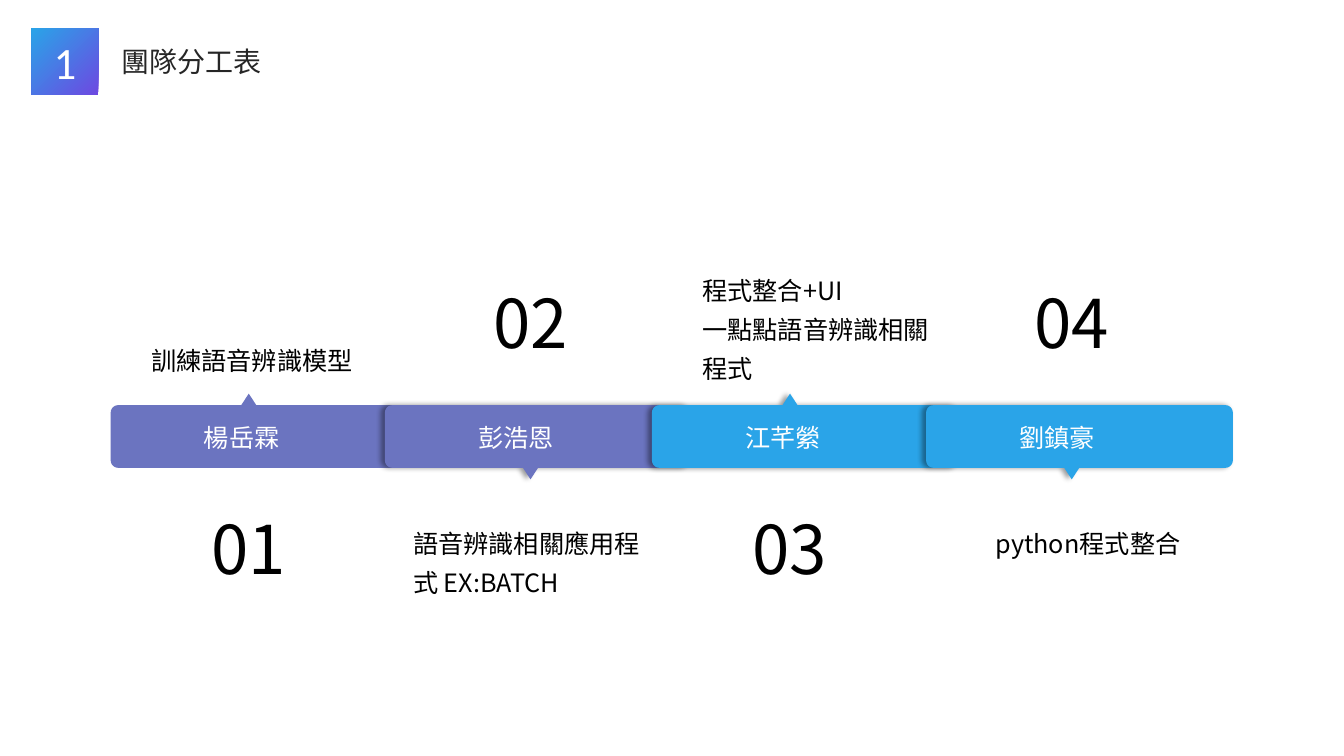
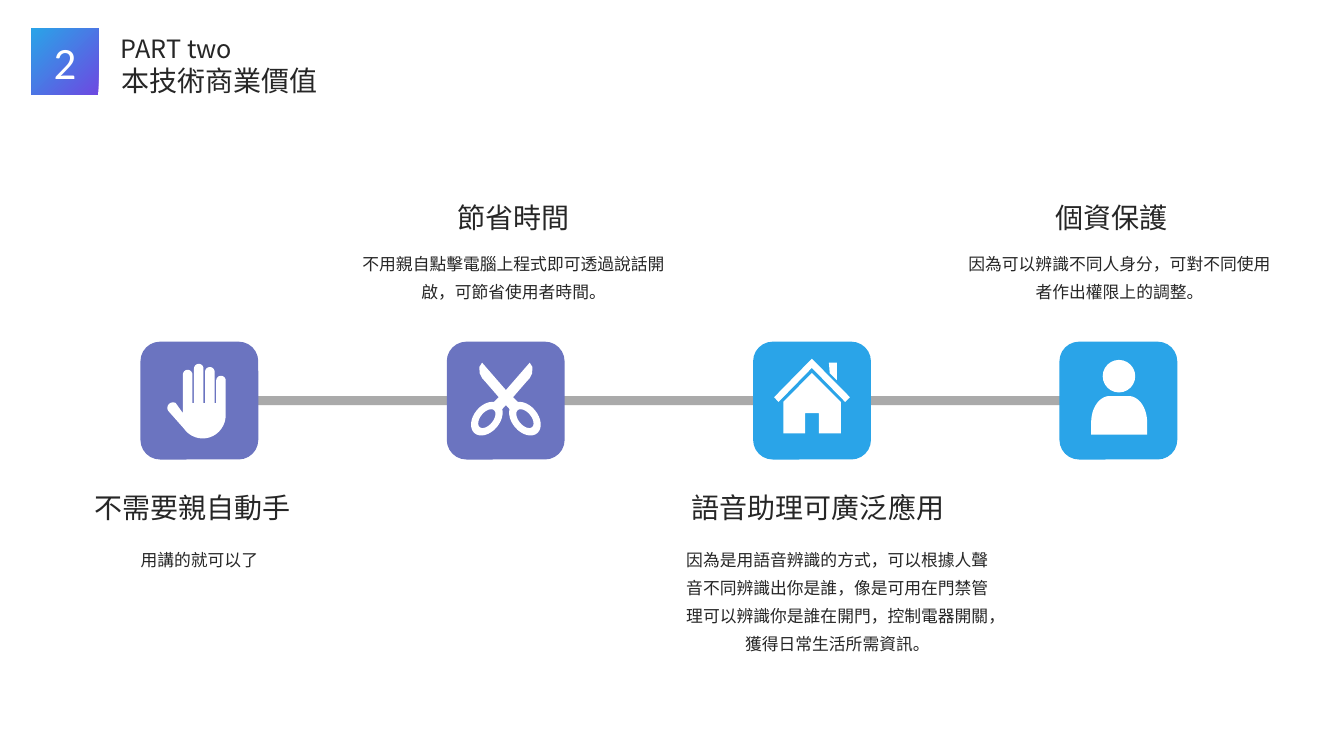
from dataclasses import dataclass
from math import ceil, cos, radians, sin
from typing import Callable

from lxml.etree import SubElement
from pptx import Presentation
from pptx.dml.color import RGBColor
from pptx.enum.shapes import MSO_SHAPE as Shape
from pptx.enum.text import MSO_ANCHOR as Anchor, MSO_AUTO_SIZE as AutoSize, PP_ALIGN as Align
from pptx.oxml.ns import qn
from pptx.util import Cm, Pt


@dataclass(frozen=True)
class Theme:
    violet: str = "6B74C0"
    blue: str = "2AA4E8"
    deep_violet: str = "6D49E1"
    white: str = "FFFFFF"
    black: str = "000000"
    ink: str = "262626"
    rail: str = "A6A6A6"
    font: str = "Noto Sans CJK SC"
    badge_font: str = "Calibri"
    number_size: int = 48
    badge_size: int = 32
    title_size: int = 20
    label_size: int = 18
    body_size: int = 12


THEME = Theme()
TITLE_ONLY = 5


@dataclass(frozen=True)
class Member:
    name: str
    number: str
    tasks: tuple
    left: float
    color: str
    points_up: bool
    task_offset: float
    task_top: float
    task_height: float
    has_shadow: bool = True


@dataclass(frozen=True)
class Benefit:
    heading: str
    body: str
    color: str
    draw_icon: Callable
    text_below: bool
    heading_shift: float
    body_shift: float


# ---- Text and shape helpers ----

def write(frame, lines, size, color, font=THEME.font, align=Align.LEFT, spacing=None):
    for index, line in enumerate(lines):
        paragraph = frame.add_paragraph() if index else frame.paragraphs[0]
        paragraph.alignment = align
        if spacing is not None:
            paragraph.line_spacing = spacing
        run = paragraph.add_run()
        run.text = line
        run.font.size = Pt(size)
        run.font.name = font
        run.font.color.rgb = RGBColor.from_string(color)
        SubElement(run._r.get_or_add_rPr(), qn("a:ea"), typeface=font)


def add_text(slide, box, lines, size, color, wrap=True, **style):
    frame = slide.shapes.add_textbox(*map(Cm, box)).text_frame
    frame.word_wrap = wrap
    write(frame, lines, size, color, **style)


def paint(shape, color):
    shape.shadow.inherit = False
    shape.line.fill.background()
    shape.fill.solid()
    shape.fill.fore_color.rgb = RGBColor.from_string(color)
    return shape


def add_preset(slide, kind, box, color):
    return paint(slide.shapes.add_shape(kind, *map(Cm, box)), color)


def add_outline(slide, left, top, color, *contours):
    """Filled outline; contours are in centimetres from (left, top)."""
    placed = [[(Cm(left + x), Cm(top + y)) for x, y in contour] for contour in contours]
    builder = slide.shapes.build_freeform(*placed[0][0], scale=1.0)
    for index, points in enumerate(placed):
        if index:
            builder.move_to(*points[0])
        builder.add_line_segments(points[1:], close=True)
    return paint(builder.convert_to_shape(), color)


def arc(x, y, radius_x, radius_y, start, end, turn=0, steps=16):
    """Points of an elliptical arc, clockwise in degrees, turned about its centre."""
    points = []
    for step in range(steps + 1):
        angle = radians(start + (end - start) * step / steps)
        along, across = radius_x * cos(angle), radius_y * sin(angle)
        tilt = radians(turn)
        points.append((x + along * cos(tilt) - across * sin(tilt),
                       y + along * sin(tilt) + across * cos(tilt)))
    return points


def add_left_shadow(shape):
    effects = shape._element.spPr.find(qn("a:effectLst"))
    shadow = SubElement(effects, qn("a:outerShdw"), blurRad=str(Pt(4)), dist=str(Pt(3)),
                        dir="10800000", algn="r", rotWithShape="0")
    color = SubElement(shadow, qn("a:srgbClr"), val=THEME.black)
    SubElement(color, qn("a:alpha"), val="40000")


# ---- Header shared by both slides ----

def add_header(slide, number, title, kicker=None):
    left, top = 0.8, 0.71
    badge = add_preset(slide, Shape.RECTANGLE, (left, top, 1.68, 1.68), THEME.blue)
    badge.fill.gradient()
    badge.fill.gradient_angle = 135
    for stop, color, position in zip(badge.fill.gradient_stops,
                                     (THEME.deep_violet, THEME.blue), (0, 1)):
        stop.color.rgb = RGBColor.from_string(color)
        stop.position = position
    badge.text_frame.vertical_anchor = Anchor.MIDDLE
    write(badge.text_frame, [number], THEME.badge_size, THEME.white,
          font=THEME.badge_font, align=Align.CENTER)

    text_left = left + 2
    if kicker:
        add_text(slide, (text_left, top, 4.37, 1.02), [kicker], THEME.label_size, THEME.ink)
    holder = slide.shapes.title
    holder.left, holder.top = Cm(text_left), Cm(top + (0.76 if kicker else 0.28))
    holder.width, holder.height = Cm(5.94), Cm(1.12)
    holder.text_frame.vertical_anchor = Anchor.TOP
    holder.text_frame.auto_size = AutoSize.NONE
    write(holder.text_frame, [title], THEME.title_size, THEME.ink)


# ---- Team slide ----

def banner_outline(width, height, pointer_x, points_up):
    radius, half, tip = 0.19, 0.19, 0.29
    right, bottom = width - radius, height - radius
    top_pointer = [(pointer_x - half, 0), (pointer_x, -tip), (pointer_x + half, 0)]
    bottom_pointer = [(pointer_x + half, height), (pointer_x, height + tip),
                      (pointer_x - half, height)]
    return [
        *arc(radius, radius, radius, radius, 180, 270, steps=6),
        *(top_pointer if points_up else []),
        *arc(right, radius, radius, radius, 270, 360, steps=6),
        *arc(right, bottom, radius, radius, 0, 90, steps=6),
        *([] if points_up else bottom_pointer),
        *arc(radius, bottom, radius, radius, 90, 180, steps=6),
    ]


def add_member(slide, member, top):
    width, height, name_center = 7.73, 1.58, 3.3
    pointer_x = 3.48 if member.points_up else 3.67

    # Banner with the name
    banner = add_outline(slide, member.left, top, member.color,
                         banner_outline(width, height, pointer_x, member.points_up))
    if member.has_shadow:
        add_left_shadow(banner)
    frame = banner.text_frame
    frame.vertical_anchor = Anchor.MIDDLE
    frame.margin_left = 0
    frame.margin_right = Cm(width - 2 * name_center)
    frame.margin_top = Cm(0.35 if member.points_up else 0.05)
    frame.margin_bottom = Cm(0 if member.points_up else 0.29)
    write(frame, [member.name], THEME.label_size, THEME.white, align=Align.CENTER)

    # Number on the flat side, tasks on the pointer side
    number_width = 2.41
    number_top = top + (2.44 if member.points_up else -3.25)
    add_text(slide, (member.left + pointer_x - number_width / 2, number_top, number_width, 2.31),
             [member.number], THEME.number_size, THEME.black, wrap=False, align=Align.CENTER)
    add_text(slide, (member.left + member.task_offset, top + member.task_top,
                     6.35, member.task_height),
             member.tasks, THEME.label_size, THEME.black, spacing=1.3)


def build_team_slide(slide):
    add_header(slide, "1", "團隊分工表")
    members = (
        Member("楊岳霖", "01", ("訓練語音辨識模型",), 2.79, THEME.violet, True,
               0.77, -1.85, 1.17, has_shadow=False),
        Member("彭浩恩", "02", ("語音辨識相關應用程式 EX:BATCH",), 9.7, THEME.violet, False,
               0.46, 2.74, 2.16),
        Member("江芊縈", "03", ("程式整合+UI", "一點點語音辨識相關程式"), 16.43, THEME.blue, True,
               1.02, -3.63, 3.15),
        Member("劉鎮豪", "04", ("python程式整合",), 23.34, THEME.blue, False,
               1.5, 2.74, 1.17),
    )
    for member in members:
        add_member(slide, member, top=10.21)


# ---- Icons, placed from the corner of their tile ----

def draw_hand(slide, left, top):
    finger, pitch, gap_bottom = 0.24, 0.28, 1.55
    outline = [(1.07, 1.8)]
    for index, finger_top in enumerate((0.71, 0.56, 0.64, 0.86)):
        finger_left = 1.07 + index * pitch
        radius = finger / 2
        if index:
            outline.append((finger_left, gap_bottom))
        outline += arc(finger_left + radius, finger_top + radius, radius, radius, 180, 360)
        if index < 3:
            outline.append((finger_left + finger, gap_bottom))
    outline += arc(1.57, 1.85, 0.58, 0.59, 0, 145)
    outline += arc(0.82, 1.67, 0.14, 0.14, 150, 300)
    add_outline(slide, left, top, THEME.white, outline)


def draw_scissors(slide, left, top):
    center = 1.49
    half = [(0.6, 0.53), (0.67, 0.64), (0.66, 0.8), (0.6, 0.92), (0.51, 1.02),
            (0.18, 1.4), (0.3, 1.52), (0.12, 1.73)]
    blades = [(center, 1.22), *((center + x, y) for x, y in half), (center, 1.6),
              *((center - x, y) for x, y in reversed(half))]
    add_outline(slide, left, top, THEME.white, blades)
    for side in (-1, 1):
        ring_x, ring_y, turn = center + side * 0.48, 1.94, side * 50
        add_outline(slide, left, top, THEME.white,
                    arc(ring_x, ring_y, 0.48, 0.33, 0, 360, turn, 32),
                    arc(ring_x, ring_y, 0.28, 0.16, 360, 0, turn, 32))


def draw_house(slide, left, top):
    chimney = [(2.11, 0.53), (1.91, 0.53), (1.93, 0.79), (2.11, 0.97)]
    roof = [(2.44, 1.4), (1.48, 0.43), (0.53, 1.4), (0.64, 1.52), (1.48, 0.66), (2.32, 1.52)]
    walls = [(1.48, 0.79), (0.76, 1.52), (0.76, 2.31), (1.31, 2.31), (1.31, 1.8),
             (1.66, 1.8), (1.66, 2.31), (2.21, 2.31), (2.21, 1.52)]
    for part in (chimney, roof, walls):
        add_outline(slide, left, top, THEME.white, part)


def draw_person(slide, left, top):
    add_preset(slide, Shape.OVAL, (left + 1.09, top + 0.46, 0.82, 0.82), THEME.white)
    body = [(0.8, 2.34), *arc(1.27, 2.03, 0.47, 0.66, 180, 270),
            *arc(1.74, 2.03, 0.47, 0.66, 270, 360), (2.21, 2.34)]
    add_outline(slide, left, top, THEME.white, body)


# ---- Business value slide ----

def add_benefit(slide, benefit, left, top, size):
    add_preset(slide, Shape.ROUNDED_RECTANGLE, (left, top, size, size), benefit.color)
    benefit.draw_icon(slide, left, top)

    # Heading and body, either below or above the tile
    center = left + size / 2
    heading_top, body_top = (3.53, 4.93) if benefit.text_below else (-3.77, -2.54)
    heading_width = 0.51 + 0.71 * len(benefit.heading)
    add_text(slide, (center + benefit.heading_shift - heading_width / 2, top + heading_top,
                     heading_width, 1.14),
             [benefit.heading], THEME.title_size, THEME.ink,
             wrap=False, align=Align.CENTER, spacing=1.1)
    body_width, characters_per_line = 8.36, 18
    body_height = 0.18 + 0.71 * ceil(len(benefit.body) / characters_per_line)
    add_text(slide, (center + benefit.body_shift - body_width / 2, top + body_top,
                     body_width, body_height),
             [benefit.body], THEME.body_size, THEME.ink, align=Align.CENTER, spacing=Pt(20))


def build_value_slide(slide):
    add_header(slide, "2", "本技術商業價值", kicker="PART two")
    benefits = (
        Benefit("不需要親自動手", "用講的就可以了", THEME.violet, draw_hand, True, -0.18, 0),
        Benefit("節省時間", "不用親自點擊電腦上程式即可透過說話開啟，可節省使用者時間。",
                THEME.violet, draw_scissors, False, 0.2, 0.2),
        Benefit("語音助理可廣泛應用",
                "因為是用語音辨識的方式，可以根據人聲音不同辨識出你是誰，像是可用在門禁管理"
                "可以辨識你是誰在開門，控制電器開關，獲得日常生活所需資訊。",
                THEME.blue, draw_house, True, 0.15, 0.64),
        Benefit("個資保護", "因為可以辨識不同人身分，可對不同使用者作出權限上的調整。",
                THEME.blue, draw_person, False, -0.17, 0.03),
    )
    left, top, size, pitch, rail_height = 3.54, 8.61, 2.97, 7.72, 0.23

    # Rail between the centres of the first and last tile
    rail = add_preset(slide, Shape.RECTANGLE,
                      (left + size / 2, top + (size - rail_height) / 2,
                       pitch * (len(benefits) - 1), rail_height), THEME.rail)
    rail_color = rail._element.spPr.find(qn("a:solidFill")).find(qn("a:srgbClr"))
    SubElement(rail_color, qn("a:alpha"), val="95000")

    for index, benefit in enumerate(benefits):
        add_benefit(slide, benefit, left + index * pitch, top, size)


def main():
    presentation = Presentation()
    presentation.slide_width, presentation.slide_height = Cm(33.87), Cm(19.05)
    for build in (build_team_slide, build_value_slide):
        build(presentation.slides.add_slide(presentation.slide_layouts[TITLE_ONLY]))
    presentation.save("out.pptx")


if __name__ == "__main__":
    main()
